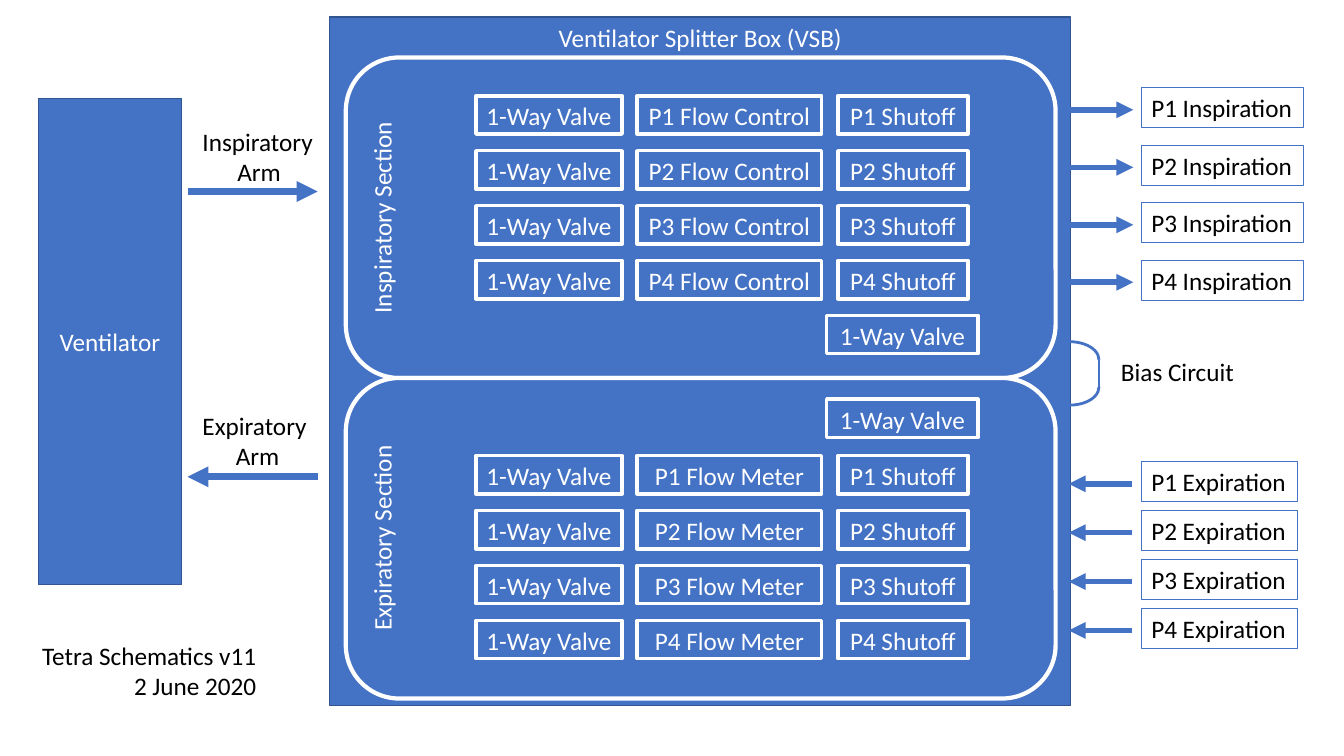
"""Draw the schematic of a ventilator splitter box for four patients."""
import pptx
import pptx.util
import pptx.dml.color
import pptx.enum.shapes
import pptx.enum.text
import pptx.oxml.ns
import lxml.etree

Inches = pptx.util.Inches
SHAPE = pptx.enum.shapes.MSO_SHAPE
ALIGN = pptx.enum.text.PP_ALIGN
ANCHOR = pptx.enum.text.MSO_ANCHOR
qn = pptx.oxml.ns.qn


class Schematic:
    """Holds the style and the current slide."""

    colors = {"blue": "4472C4", "edge": "325491", "white": "FFFFFF", "black": "000000"}
    font, size = "Calibri", 18

    def __init__(self, slide):
        self.s = slide

    def color(self, name):
        return pptx.dml.color.RGBColor.from_string(self.colors[name])

    def stroke(self, sp, color, width):
        sp.line.color.rgb = self.color(color)
        sp.line.width = pptx.util.Pt(width)

    def label(self, sp, lines, color, aligns):
        tf = sp.text_frame
        tf.text = "\n".join(lines)
        for p, align in zip(tf.paragraphs, aligns):
            p.alignment = align
            p.font.name = self.font
            p.font.size = pptx.util.Pt(self.size)
            p.font.color.rgb = self.color(color)
        return tf

    def box(self, x, y, w, h, text, line="white", width=2.5, kind=SHAPE.RECTANGLE,
            anchor=ANCHOR.TOP, vertical=False):
        sp = self.s.shapes.add_shape(kind, Inches(x), Inches(y), Inches(w), Inches(h))
        sp.shadow.inherit = False
        sp.fill.solid()
        sp.fill.fore_color.rgb = self.color("blue")
        self.stroke(sp, line, width)
        tf = self.label(sp, [text], "white", [ALIGN.CENTER])
        tf.vertical_anchor = anchor
        if vertical:
            tf._txBody.bodyPr.set("vert", "vert270")

    def text(self, x, y, w, h, lines, last=ALIGN.LEFT, wrap=False, framed=False):
        sp = self.s.shapes.add_textbox(Inches(x), Inches(y), Inches(w), Inches(h))
        tf = self.label(sp, lines, "black", [ALIGN.LEFT] * (len(lines) - 1) + [last])
        tf.word_wrap = wrap
        tf.auto_size = pptx.enum.text.MSO_AUTO_SIZE.SHAPE_TO_FIT_TEXT
        if framed:
            self.stroke(sp, "blue", 0.75)

    def line(self, x1, y1, x2, y2, width, arrow=True):
        sp = self.s.shapes.add_connector(pptx.enum.shapes.MSO_CONNECTOR.STRAIGHT,
                                         Inches(x1), Inches(y1), Inches(x2), Inches(y2))
        self.stroke(sp, "blue", width)
        if arrow:
            ln = sp._element.spPr.find(qn("a:ln"))
            lxml.etree.SubElement(ln, qn("a:tailEnd"), type="triangle")
        lxml.etree.SubElement(sp._element.spPr, qn("a:effectLst"))

    def arc(self, x, y, w, h, rotation=0):
        sp = self.s.shapes.add_shape(SHAPE.ARC, Inches(x), Inches(y), Inches(w), Inches(h))
        sp.shadow.inherit = False
        sp.fill.background()
        sp.rotation = rotation
        self.stroke(sp, "blue", 2)


prs = pptx.Presentation()
prs.slide_width, prs.slide_height = Inches(13.33), Inches(7.5)
d = Schematic(prs.slides.add_slide(prs.slide_layouts[6]))

d.box(3.27, 0.17, 7.35, 6.83, "Ventilator Splitter Box (VSB)", "edge", 1)
d.box(0.38, 0.98, 1.42, 4.82, "Ventilator", "edge", 1, anchor=ANCHOR.MIDDLE)
for name, y in (("Inspiratory", 0.57), ("Expiratory", 3.75)):
    d.box(3.43, y, 7.04, 3.18, name + " Section", width=3,
          kind=SHAPE.ROUNDED_RECTANGLE, vertical=True)

d.line(1.86, 1.9, 3.15, 1.9, 5)
d.line(3.15, 4.73, 1.86, 4.73, 5)
for name, y, w in (("Inspiratory ", 1.2, 1.32), ("Expiratory ", 4.02, 1.29)):
    d.text(1.91, y, w, 0.71, [name, "Arm"], ALIGN.CENTER, wrap=True)

columns = ((4.72, 1.45, "1-Way Valve"), (6.32, 1.83, "P{} Flow {}"), (8.31, 1.29, "P{} Shutoff"))
for top, device in ((0.95, "Control"), (4.52, "Meter")):
    for row in range(4):
        for x, w, label in columns:
            d.box(x, top + row * 0.545, w, 0.38, label.format(row + 1, device))
for y in (3.13, 3.96):
    d.box(8.2, y, 1.5, 0.38, "1-Way Valve")

ports = (("Inspiration", 1.09, 0.57, 1.61, 10.61, 11.24),
         ("Expiration", 4.8, 0.485, 1.55, 11.23, 10.6))
for name, top, pitch, w, start, end in ports:
    for row in range(4):
        y = top + row * pitch
        d.line(start, y, end, y, 4)
        d.text(11.32, y - 0.22, w, 0.4, [f"P{row + 1} {name}"], framed=True)

d.arc(10.32, 3.39, 0.58, 0.36)
d.line(10.9, 3.57, 10.9, 3.84, 2, arrow=False)
d.arc(10.43, 3.55, 0.36, 0.58, rotation=90)
d.text(11.02, 3.49, 1.33, 0.4, ["Bias Circuit"])
d.text(0.32, 6.3, 2.55, 0.71, ["Tetra Schematics v11", "2 June 2020"], ALIGN.RIGHT)

prs.save("out.pptx")
